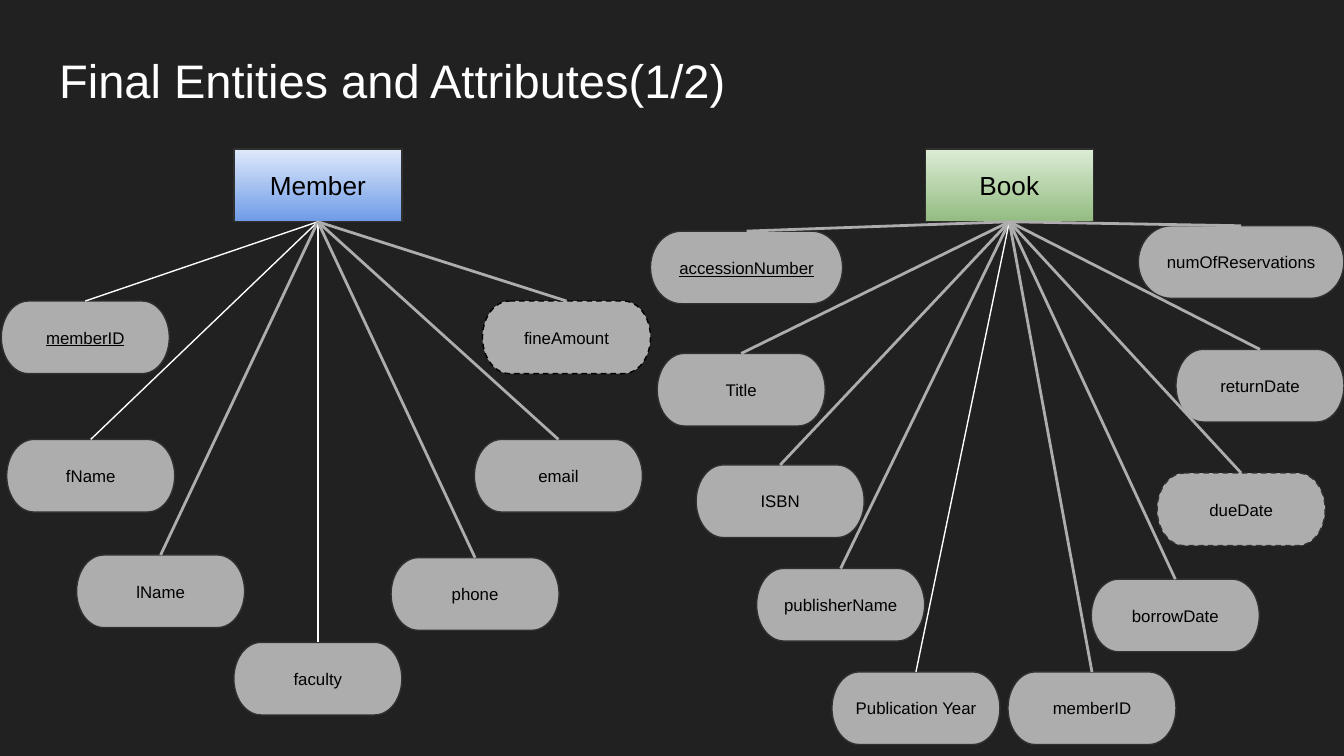
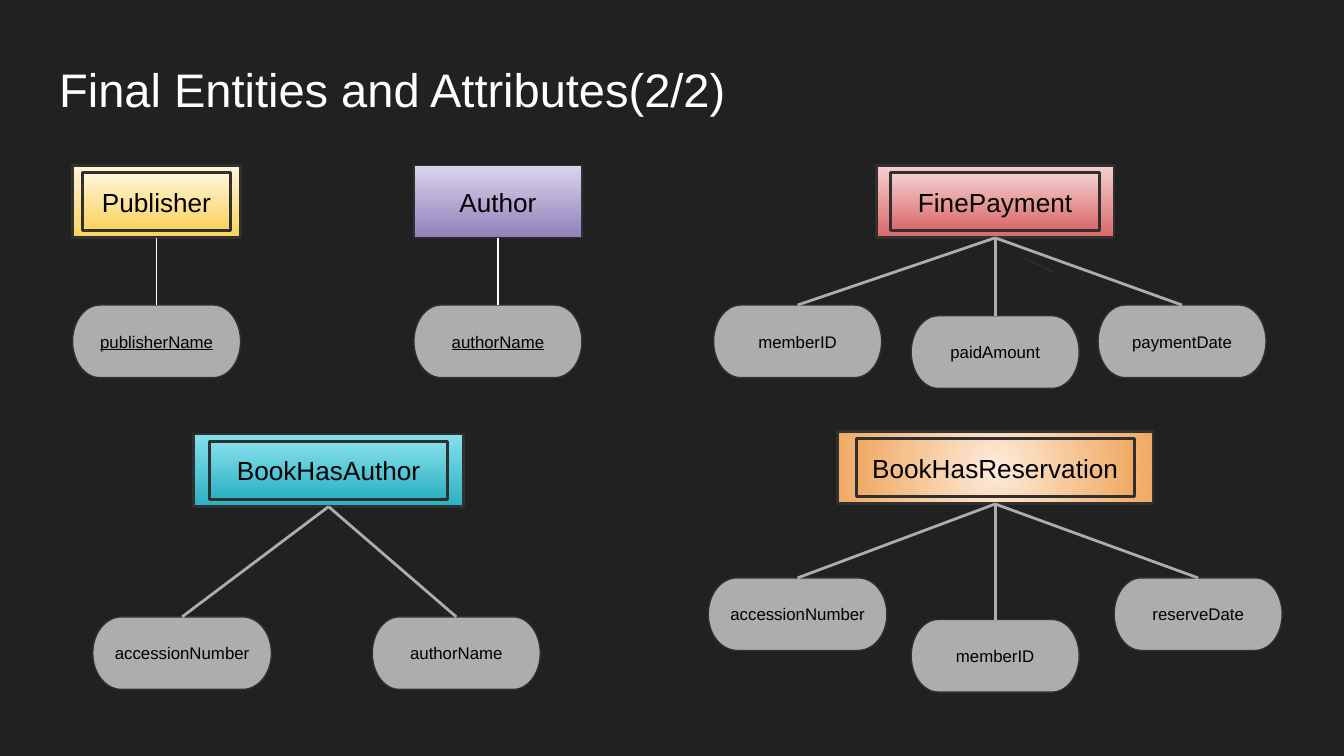
from lxml import etree
from pptx import Presentation
from pptx import util as u
from pptx.dml.color import RGBColor
from pptx.enum import dml, shapes, text
from pptx.oxml.ns import qn

# Slide grid: 100 columns and 56.25 rows of equal size
CELL = u.Inches(0.1)
COLS, ROWS = 100, 56.25
NODE_W, NODE_H = 12.5, 5.4
INSET = u.Inches(0.1)
FONT = "Arial"

BACKGROUND = RGBColor(0x21, 0x21, 0x21)
WHITE = RGBColor(0xFF, 0xFF, 0xFF)
BLACK = RGBColor(0x00, 0x00, 0x00)
GREY = RGBColor(0xAD, 0xAD, 0xAD)
OUTLINE = RGBColor(0x30, 0x30, 0x30)

# Entity gradients: first and last colour
BLUE = RGBColor(0xDF, 0xE9, 0xFB), RGBColor(0x6E, 0x9B, 0xE7)
GREEN = RGBColor(0xDC, 0xEC, 0xD5), RGBColor(0x93, 0xBC, 0x81)
YELLOW = RGBColor(0xFF, 0xF6, 0xDB), RGBColor(0xFA, 0xD2, 0x5C)
PURPLE = RGBColor(0xDB, 0xD4, 0xEB), RGBColor(0x91, 0x80, 0xBB)
RED = RGBColor(0xF5, 0xD0, 0xD0), RGBColor(0xD9, 0x68, 0x68)
TEAL = RGBColor(0x86, 0xDF, 0xEB), RGBColor(0x2B, 0xB1, 0xC3)
ORANGE = RGBColor(0xFD, 0xEC, 0xDB), RGBColor(0xF0, 0xA9, 0x63)


def grid(*cells):
    return [round(c * CELL) for c in cells]


def write(sp, content, size, color, align, anchor, underline=None):
    tf = sp.text_frame
    tf.margin_left = tf.margin_right = tf.margin_top = tf.margin_bottom = INSET
    tf.vertical_anchor = anchor
    tf.word_wrap = False
    p = tf.paragraphs[0]
    p.alignment = align
    r = p.add_run()
    r.text = content
    r.font.name, r.font.size = FONT, u.Pt(size)
    r.font.color.rgb, r.font.underline = color, underline


def label(sp, content, size, underline=None):
    write(sp, content, size, BLACK, text.PP_ALIGN.CENTER,
          text.MSO_ANCHOR.MIDDLE, underline)


def add_slide(prs, title, top):
    slide = prs.slides.add_slide(prs.slide_layouts[5])
    sp = slide.shapes.title
    sp.left, sp.top, sp.width, sp.height = grid(3.4, top, 93.2, 6.3)
    write(sp, title, 25.2, WHITE, text.PP_ALIGN.LEFT, text.MSO_ANCHOR.BOTTOM)
    return slide


def add_node(parent, kind, left, top, width, height, weight=0.75):
    sp = parent.add_shape(kind, *grid(left, top, width, height))
    sp.shadow.inherit = False
    sp.line.color.rgb, sp.line.width = OUTLINE, u.Pt(weight)
    return sp


def shade(sp, colors, radial):
    sp.fill.gradient()
    sp.fill.gradient_angle = 270
    for stop, color in zip(sp.fill.gradient_stops, colors):
        stop.color.rgb = color
    if radial:
        grad = sp._element.spPr.find(qn("a:gradFill"))
        grad.remove(grad.find(qn("a:lin")))
        circle = etree.SubElement(grad, qn("a:path"), {"path": "circle"})
        etree.SubElement(circle, qn("a:fillToRect"),
                         dict.fromkeys("ltrb", "50000"))


def add_entity(slide, name, left, top, colors, width=NODE_W, weak=False, radial=False):
    """Draw an entity box; a weak entity gets a second box inside."""
    parent = slide.shapes.add_group_shape().shapes if weak else slide.shapes
    weight = 1.5 if weak else 0.75
    rect = shapes.MSO_SHAPE.RECTANGLE
    outer = inner = add_node(parent, rect, left, top, width, NODE_H, weight)
    shade(outer, colors, radial)
    if weak:
        inner = add_node(parent, rect, left + width * 0.06, top + 0.55,
                         width * 0.88, NODE_H - 1.1, weight)
        shade(inner, colors, radial)
    label(inner, name, 14)
    return outer


def add_attribute(slide, name, left, top, width=NODE_W, key=False, derived=None):
    """Draw an attribute; a key is underlined, a derived one has a dashed line."""
    sp = add_node(slide.shapes, shapes.MSO_SHAPE.FLOWCHART_TERMINATOR,
                  left, top, width, NODE_H)
    sp.fill.solid()
    sp.fill.fore_color.rgb = GREY
    if derived is not None:
        sp.line.color.rgb = derived
        sp.line.dash_style = dml.MSO_LINE.DASH
    label(sp, name, 9, key or None)
    return sp


def add_line(slide, ends, color, weight):
    line = slide.shapes.add_connector(shapes.MSO_CONNECTOR.STRAIGHT, *grid(*ends))
    line.line.color.rgb, line.line.width = color, u.Pt(weight)
    etree.SubElement(line._element.spPr, qn("a:effectLst"))
    return line


def add_attributes(slide, entity, attributes, thin=()):
    """Place the attributes and join each one to the foot of its entity."""
    nodes = [(name, add_attribute(slide, name, *place, **style))
             for name, *place, style in attributes]
    for name, node in nodes:
        color, weight = (WHITE, 0.75) if name in thin else (GREY, 1.5)
        line = add_line(slide, (0, 0, 0, 0), color, weight)
        line.begin_connect(entity, 2)
        line.end_connect(node, 0)


def build_main_entities(prs):
    slide = add_slide(prs, "Final Entities and Attributes(1/2)", 2.7)
    member = add_entity(slide, "Member", 17.4, 11.1, BLUE)
    book = add_entity(slide, "Book", 68.85, 11.1, GREEN)
    add_attributes(slide, member, [
        ("memberID", 0.1, 22.4, {"key": True}),
        ("fName", 0.5, 32.7, {}),
        ("lName", 5.7, 41.3, {}),
        ("faculty", 17.4, 47.8, {}),
        ("phone", 29.1, 41.5, {}),
        ("email", 35.3, 32.7, {}),
        ("fineAmount", 35.9, 22.4, {"derived": BLACK}),
    ], thin=("memberID", "fName", "faculty"))
    add_attributes(slide, book, [
        ("accessionNumber", 48.4, 17.2, 14.3, {"key": True}),
        ("Title", 48.9, 26.3, {}),
        ("ISBN", 51.8, 34.6, {}),
        ("publisherName", 56.3, 42.3, {}),
        ("Publication Year", 61.9, 50, {}),
        ("memberID", 75, 50, {}),
        ("borrowDate", 81.2, 43.1, {}),
        ("dueDate", 86.1, 35.2, {"derived": OUTLINE}),
        ("returnDate", 87.5, 26, {}),
        ("numOfReservations", 84.7, 16.8, 15.3, {}),
    ], thin=("Publication Year",))


def build_other_entities(prs):
    slide = add_slide(prs, "Final Entities and Attributes(2/2)", 3.4)

    # Upper row
    publisher = add_entity(slide, "Publisher", 5.4, 12.3, YELLOW, weak=True)
    add_attributes(slide, publisher, [("publisherName", 5.4, 22.7, {"key": True})],
                   thin=("publisherName",))
    author = add_entity(slide, "Author", 30.8, 12.3, PURPLE)
    add_attributes(slide, author, [("authorName", 30.8, 22.7, {"key": True})],
                   thin=("authorName",))
    payment = add_entity(slide, "FinePayment", 65.2, 12.3, RED, 17.7, weak=True)
    add_attributes(slide, payment, [
        ("memberID", 53.1, 22.7, {}),
        ("paidAmount", 67.8, 23.5, {}),
        ("paymentDate", 81.7, 22.7, {}),
    ])
    add_line(slide, (76.2, 19.2, 78.5, 20.3), OUTLINE, 0.75)

    # Lower row
    has_author = add_entity(slide, "BookHasAuthor", 14.4, 32.3, TEAL, 20.1, weak=True)
    add_attributes(slide, has_author, [
        ("accessionNumber", 6.9, 45.9, 13.3, {}),
        ("authorName", 27.7, 45.9, {}),
    ])
    reservation = add_entity(slide, "BookHasReservation", 62.3, 32.1, ORANGE, 23.5,
                             weak=True, radial=True)
    add_attributes(slide, reservation, [
        ("accessionNumber", 52.7, 43, 13.3, {}),
        ("memberID", 67.8, 46.1, {}),
        ("reserveDate", 82.9, 43, {}),
    ])


def main():
    prs = Presentation()
    prs.slide_width, prs.slide_height = grid(COLS, ROWS)
    fill = prs.slide_master.background.fill
    fill.solid()
    fill.fore_color.rgb = BACKGROUND
    build_main_entities(prs)
    build_other_entities(prs)
    prs.save("out.pptx")


if __name__ == "__main__":
    main()
